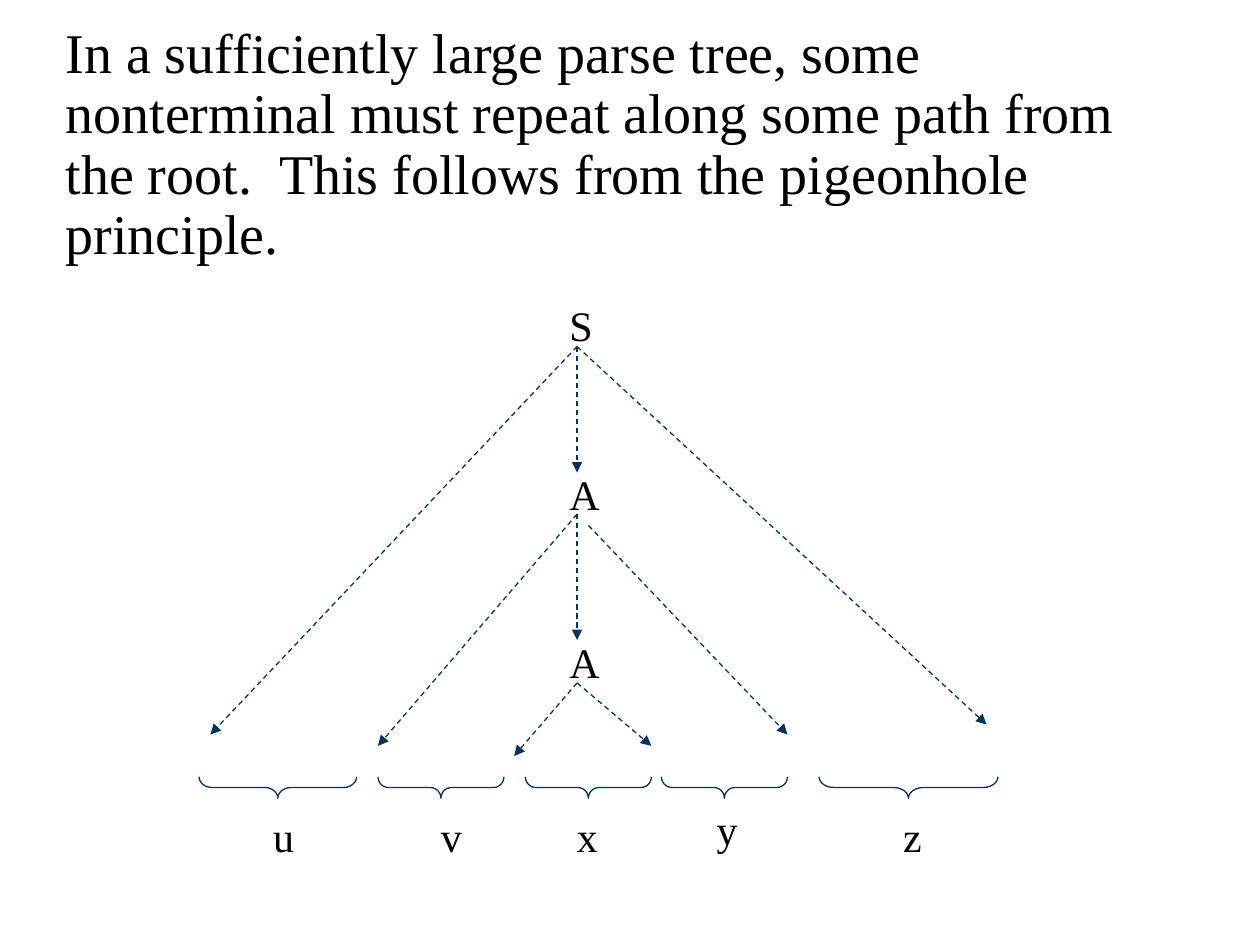
from lxml import etree
from pptx import Presentation
from pptx.dml.color import RGBColor
from pptx.enum.dml import MSO_LINE as Dash
from pptx.enum.shapes import MSO_CONNECTOR as Conn, MSO_SHAPE as Shape
from pptx.enum.text import MSO_ANCHOR as Anchor, MSO_AUTO_SIZE as Fit, PP_ALIGN as Align
from pptx.oxml.ns import qn
from pptx.util import Inches, Pt

TITLE = ("In a sufficiently large parse tree, some nonterminal must repeat "
         "along some path from the root.  This follows from the pigeonhole principle.")
INK, NAVY = "000000", "003366"
FONT = "Times New Roman"

MID = 4.58  # x of the tree's spine
# label, left, top, width
LABELS = [
    ("S", 4.42, 2.33, 0.38), ("A", 4.42, 3.67, 0.44), ("A", 4.42, 5, 0.44),
    ("u", 2.07, 6.38, 0.36), ("v", 3.4, 6.38, 0.36), ("x", 4.48, 6.38, 0.36),
    ("y", 5.59, 6.33, 0.36), ("z", 7.07, 6.38, 0.35),
]
# start point, end points
BRANCHES = [
    ((MID, 2.75), [(1.67, 5.83), (MID, 3.75), (7.83, 5.75)]),
    ((MID, 4.08), [(3, 5.92), (MID, 5.08)]),
    ((4.67, 4.17), [(6.25, 5.83)]),
    ((MID, 5.42), [(4.08, 6), (5.17, 5.92)]),
]
# left and right end of each brace under the leaves
SPANS = [(1.58, 2.83), (3, 4), (4.17, 5.17), (5.25, 6.25), (6.5, 7.92)]
BRACE_Y, DEPTH = 6.25, 0.17


def color(code):
    return RGBColor.from_string(code)


def write(frame, text, size, **form):
    for key, val in form.items():
        setattr(frame, key, val)
    frame.text = text
    para = frame.paragraphs[0]
    para.alignment = Align.LEFT
    font = para.runs[0].font
    font.name, font.size = FONT, Pt(size)
    font.color.rgb = color(INK)
    return para


def stroke(line):
    line.color.rgb = color(NAVY)
    line.width = Pt(0.75)


def arrow(slide, start, end):
    link = slide.shapes.add_connector(
        Conn.STRAIGHT, *(Inches(v) for v in (*start, *end)))
    stroke(link.line)
    link.line.dash_style = Dash.DASH
    tip = etree.SubElement(link.line._get_or_add_ln(), qn("a:tailEnd"))
    tip.set("type", "triangle")
    etree.SubElement(link._element.spPr, qn("a:effectLst"))


def brace(slide, left, right):
    """Turn a left brace so that it opens upward over the span."""
    span = right - left
    box = ((left + right - DEPTH) / 2, BRACE_Y - span / 2, DEPTH, span)
    item = slide.shapes.add_shape(Shape.LEFT_BRACE, *map(Inches, box))
    item.rotation = 270
    item.adjustments[0] = span / 12 / DEPTH
    item.shadow.inherit = False
    item.fill.background()
    stroke(item.line)


def main():
    deck = Presentation()
    deck.slide_width, deck.slide_height = Inches(10), Inches(7.5)
    slide = deck.slides.add_slide(deck.slide_layouts[5])

    title = slide.shapes.title
    place = {"left": 0.42, "top": 0.92, "width": 9.08, "height": 1.25}
    for key, val in place.items():
        setattr(title, key, Inches(val))
    para = write(title.text_frame, TITLE, 32, word_wrap=True,
                 auto_size=Fit.NONE, vertical_anchor=Anchor.BOTTOM)
    para.line_spacing = 0.9

    for text, left, top, width in LABELS:
        box = slide.shapes.add_textbox(*map(Inches, (left, top, width, 0.5)))
        write(box.text_frame, text, 24, word_wrap=False,
              auto_size=Fit.SHAPE_TO_FIT_TEXT)
    for start, ends in BRANCHES:
        for end in ends:
            arrow(slide, start, end)
    for left, right in SPANS:
        brace(slide, left, right)

    deck.save("out.pptx")


if __name__ == "__main__":
    main()
